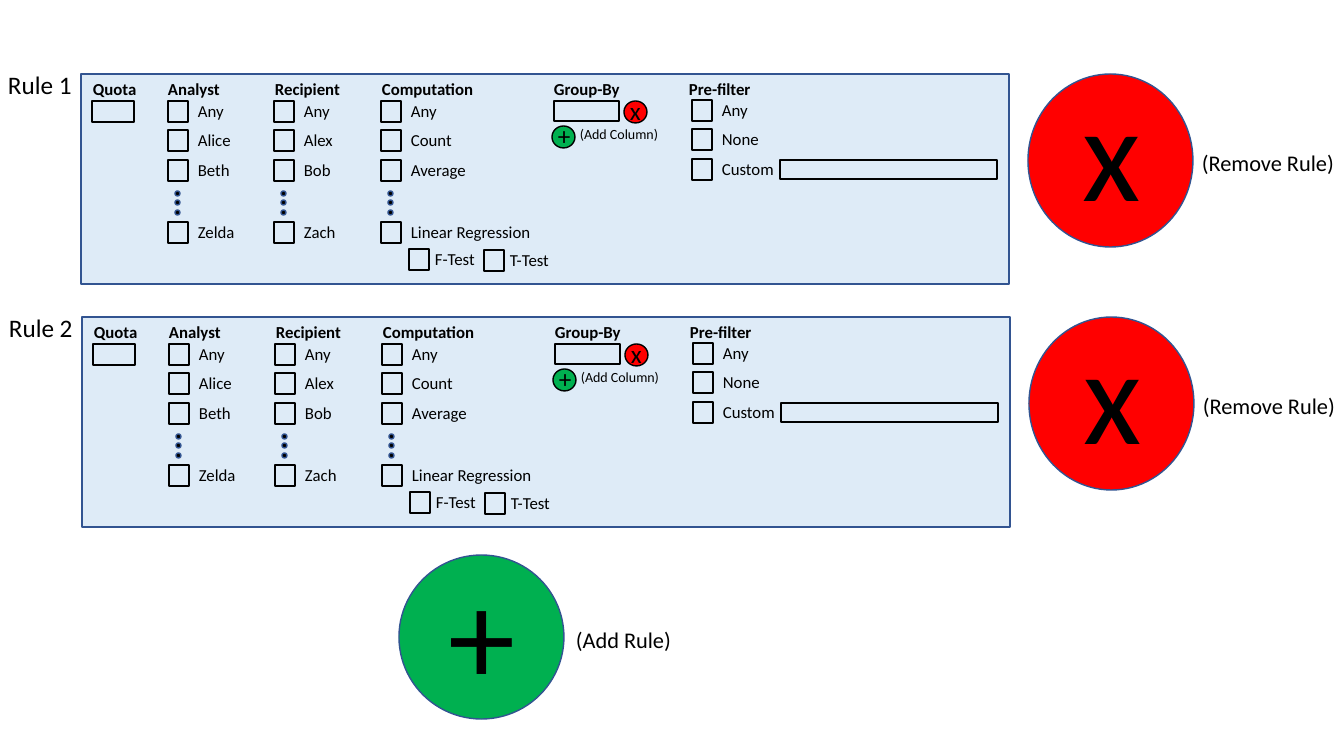
import dataclasses
import typing

import pptx
import pptx.dml.color
import pptx.enum.shapes
import pptx.util

EMU_PER_PIXEL = 914400 / 100.8
RECT = pptx.enum.shapes.MSO_SHAPE.RECTANGLE
OVAL = pptx.enum.shapes.MSO_SHAPE.OVAL


@dataclasses.dataclass(frozen=True)
class Theme:
    font: str = "Calibri"
    ink: str = "000000"
    panel: str = "DEEBF7"
    edge: str = "325491"
    add: str = "00B050"
    remove: str = "FF0000"
    note: int = 10
    body: int = 12
    action: int = 16
    title: int = 18
    symbol: int = 96


THEME = Theme()


class Area(typing.NamedTuple):
    x: int
    y: int
    width: int
    height: int


class Column(typing.NamedTuple):
    heading: str
    heading_x: int
    box_x: int
    options: tuple[str, ...]
    dy: int = 0
    elided: bool = True  # dots stand for the options left out


class Check(typing.NamedTuple):
    label: str
    x: int
    y: int
    gap: int = 20


class Button(typing.NamedTuple):
    symbol: str
    area: Area
    fill: str
    edge: str
    size: int
    symbol_dx: int
    symbol_dy: int
    symbol_width: int


class Caption(typing.NamedTuple):
    text: str
    x: int
    y: int
    width: int
    size: int = THEME.body
    bold: bool = False


# Content of one rule, placed as in the first rule
PANEL = Area(81, 74, 928, 210)
ROW_TOPS = (101, 130, 160, 222)
DOT_TOPS = (191, 200, 210)
HEADING_TOP = 74
COLUMNS = (
    Column("Analyst", 158, 168, ("Any", "Alice", "Beth", "Zelda")),
    Column("Recipient", 265, 274, ("Any", "Alex", "Bob", "Zach")),
    Column("Computation", 372, 381, ("Any", "Count", "Average", "Linear Regression")),
    Column("Pre-filter", 679, 692, ("Any", "None", "Custom"), dy=-1, elided=False),
)
TESTS = (Check("F-Test", 409, 249, gap=16), Check("T-Test", 484, 250, gap=16))
ENTRY_FIELDS = {
    "quota": Area(92, 101, 42, 21),
    "group-by": Area(554, 101, 65, 20),
    "custom filter": Area(780, 160, 217, 19),
}
RULE_BUTTONS = (
    Button("+", Area(552, 126, 23, 22), THEME.add, THEME.ink, THEME.title, -4, -11, 23),
    Button("x", Area(624, 101, 23, 22), THEME.remove, THEME.ink, THEME.title, -4, -11, 23),
    Button("x", Area(1028, 74, 165, 173), THEME.remove, THEME.edge, THEME.symbol, 45, -12, 115),
)
RULE_CAPTIONS = (
    Caption("Quota", 83, HEADING_TOP, 89, bold=True),
    Caption("Group-By", 544, HEADING_TOP, 92, bold=True),
    Caption("(Add Column)", 570, 121, 107, THEME.note),
    Caption("(Remove Rule)", 1192, 144, 165, THEME.action),
)
RULE_OFFSETS = ((0, 0), (1, 243))

# Button that adds a rule
ADD_RULE = Button("+", Area(399, 555, 165, 164), THEME.add, THEME.edge, THEME.symbol, 40, -9, 115)
ADD_RULE_CAPTION = Caption("(Add Rule)", 566, 621, 165, THEME.action)


def px(length: float) -> int:
    return round(length * EMU_PER_PIXEL)


def rgb(colour: str) -> pptx.dml.color.RGBColor:
    return pptx.dml.color.RGBColor.from_string(colour)


presentation = pptx.Presentation()
presentation.slide_width, presentation.slide_height = px(1344), px(756)
slide = presentation.slides.add_slide(presentation.slide_layouts[6])


def add_text(text: str, x: int, y: int, width: int, *, size: int = THEME.body,
             bold: bool = False) -> None:
    height = round(size * 1.71 + 10)  # one line and its margins
    frame = slide.shapes.add_textbox(px(x), px(y), px(width), px(height)).text_frame
    frame.word_wrap = True
    run = frame.paragraphs[0].add_run()
    run.text = text
    run.font.name = THEME.font
    run.font.size = pptx.util.Pt(size)
    run.font.bold = bold
    run.font.color.rgb = rgb(THEME.ink)


def draw_shape(kind: pptx.enum.shapes.MSO_SHAPE, area: Area, dx: int, dy: int,
               fill: str | None = None, edge: str = THEME.ink) -> None:
    shape = slide.shapes.add_shape(
        kind, px(area.x + dx), px(area.y + dy), px(area.width), px(area.height))
    shape.shadow.inherit = False
    if fill:
        shape.fill.solid()
        shape.fill.fore_color.rgb = rgb(fill)
    else:
        shape.fill.background()
    shape.line.color.rgb = rgb(edge)
    shape.line.width = pptx.util.Pt(1)


def draw_caption(caption: Caption, dx: int = 0, dy: int = 0) -> None:
    add_text(caption.text, caption.x + dx, caption.y + dy, caption.width,
             size=caption.size, bold=caption.bold)


def draw_check(check: Check, dx: int, dy: int) -> None:
    draw_shape(RECT, Area(check.x, check.y, 20, 21), dx, dy)
    width = 187 if len(check.label) > 10 else 87
    add_text(check.label, check.x + check.gap + dx, check.y - 5 + dy, width)


def draw_button(button: Button, dx: int = 0, dy: int = 0) -> None:
    draw_shape(OVAL, button.area, dx, dy, button.fill, button.edge)
    add_text(button.symbol, button.area.x + button.symbol_dx + dx,
             button.area.y + button.symbol_dy + dy, button.symbol_width, size=button.size)


def draw_column(column: Column, dx: int, dy: int) -> None:
    draw_caption(Caption(column.heading, column.heading_x, HEADING_TOP, 115, bold=True), dx, dy)
    for option, top in zip(column.options, ROW_TOPS):
        draw_check(Check(option, column.box_x, top + column.dy), dx, dy)
    if column.elided:
        for top in DOT_TOPS:
            draw_shape(OVAL, Area(column.box_x + 7, top, 5, 5), dx, dy, THEME.ink, THEME.edge)


def draw_rule(number: int, dx: int, dy: int) -> None:
    draw_caption(Caption(f"Rule {number}", -2, 64, 97, THEME.title), dx, dy)
    draw_shape(RECT, PANEL, dx, dy, THEME.panel, THEME.edge)
    for column in COLUMNS:
        draw_column(column, dx, dy)
    for test in TESTS:
        draw_check(test, dx, dy)
    for field in ENTRY_FIELDS.values():
        draw_shape(RECT, field, dx, dy)
    for button in RULE_BUTTONS:
        draw_button(button, dx, dy)
    for caption in RULE_CAPTIONS:
        draw_caption(caption, dx, dy)


# Rules, then the button below them
for number, (dx, dy) in enumerate(RULE_OFFSETS, start=1):
    draw_rule(number, dx, dy)
draw_button(ADD_RULE)
draw_caption(ADD_RULE_CAPTION)

presentation.save("out.pptx")
